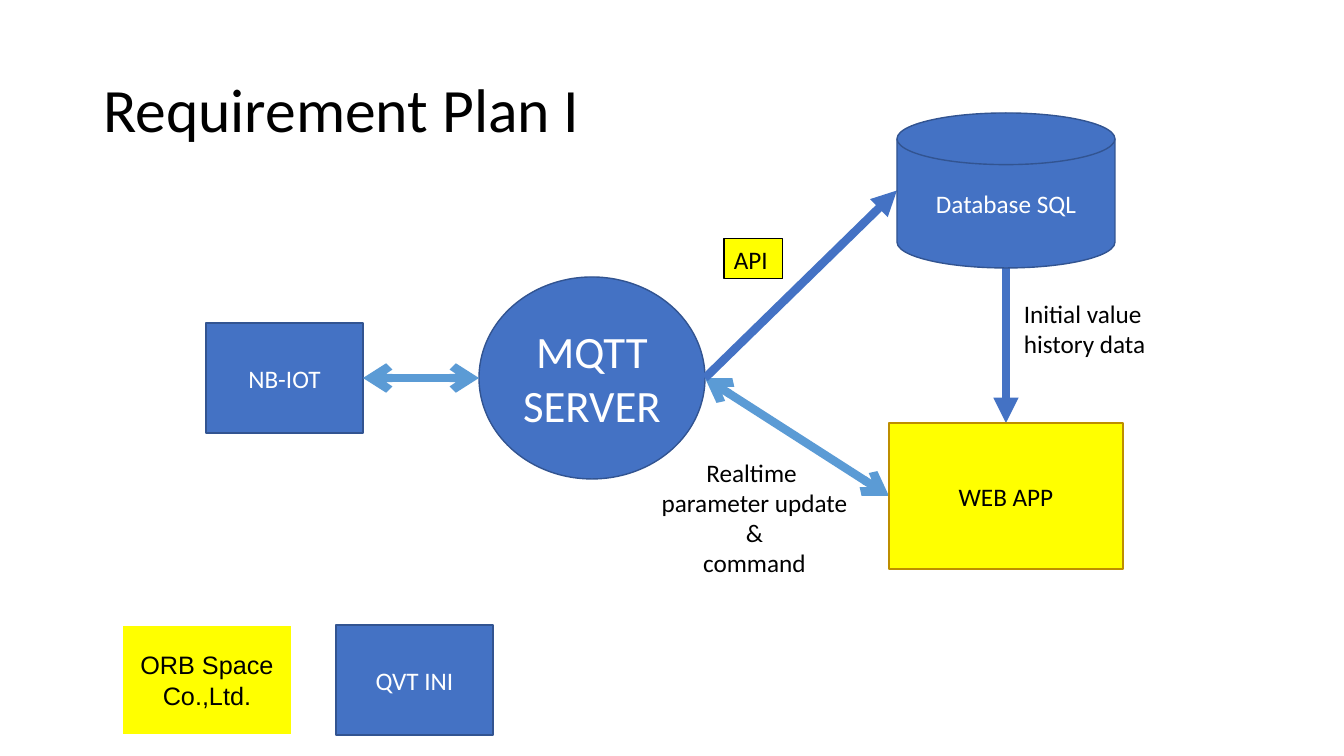
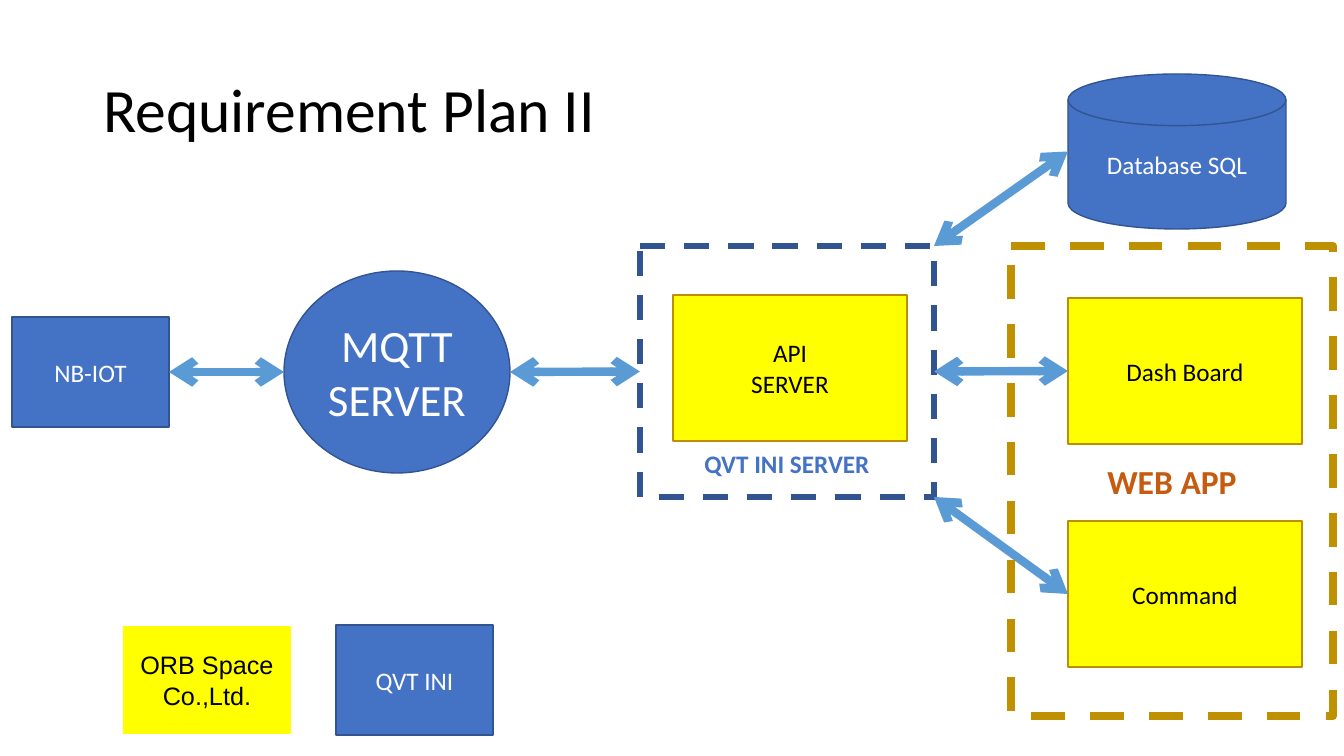
from dataclasses import dataclass

from lxml.etree import SubElement
from pptx import Presentation
from pptx.dml.color import RGBColor
from pptx.enum.dml import MSO_LINE
from pptx.enum.shapes import MSO_CONNECTOR, MSO_SHAPE as SHAPE
from pptx.enum.text import MSO_ANCHOR as ANCHOR, PP_ALIGN as ALIGN
from pptx.oxml.ns import qn
from pptx.util import Emu, Pt

PAGE_WIDTH, PAGE_HEIGHT = 1344, 756
EMU_PER_PIXEL = 914400 / 100.8

BLACK = RGBColor(0x00, 0x00, 0x00)
WHITE = RGBColor(0xFF, 0xFF, 0xFF)
BLUE = RGBColor(0x44, 0x72, 0xC4)
DARK_BLUE = RGBColor(0x32, 0x54, 0x91)
LIGHT_BLUE = RGBColor(0x5B, 0x9B, 0xD5)
YELLOW = RGBColor(0xFF, 0xFF, 0x00)
DARK_GOLD = RGBColor(0xBD, 0x8E, 0x00)
GOLD = RGBColor(0xBF, 0x90, 0x00)
ORANGE = RGBColor(0xC5, 0x5A, 0x11)

OWNER = "QVT INI"
DATABASE = "Database SQL"


def px(length):
    """Turn pixels into EMU."""
    return Emu(round(length * EMU_PER_PIXEL))


@dataclass
class Box:
    """A rectangle in pixels."""
    left: int
    top: int
    width: int
    height: int

    def emu(self):
        """Left, top, width and height in EMU."""
        return [px(n) for n in (self.left, self.top, self.width, self.height)]

    def at(self, across, down):
        """A point given as fractions of the width and height."""
        return self.left + across * self.width, self.top + down * self.height

    def inner(self, left, top, width, height):
        """A box placed relative to this one's corner."""
        return Box(self.left + left, self.top + top, width, height)


def write(shape, text, color=BLACK, size=18, align=ALIGN.CENTER,
          anchor=ANCHOR.MIDDLE, face="Calibri", bold=False):
    """Fill a shape with text, one paragraph per line."""
    frame = shape.text_frame
    frame.text = text
    frame.vertical_anchor = anchor
    for para in frame.paragraphs:
        para.alignment = align
        para.font.name = face
        para.font.size = Pt(size)
        para.font.bold = bold
        para.font.color.rgb = color


def add_block(page, kind, box, fill, outline, weight=1):
    """Add a preset shape; a fill of None leaves it hollow."""
    shape = page.shapes.add_shape(kind, *box.emu())
    shape.shadow.inherit = False
    if fill is None:
        shape.fill.background()
    else:
        shape.fill.solid()
        shape.fill.fore_color.rgb = fill
    shape.line.color.rgb = outline
    shape.line.width = Pt(weight)
    return shape


def add_blue_node(page, kind, box, text, size=18):
    """Add a blue node with white text."""
    write(add_block(page, kind, box, BLUE, DARK_BLUE), text, WHITE, size)


def add_card(page, box, text):
    """Add a yellow application card."""
    write(add_block(page, SHAPE.RECTANGLE, box, YELLOW, DARK_GOLD), text)


def add_group_frame(page, box, text, outline, weight, **style):
    """Add a dashed frame with a bold label."""
    frame = add_block(page, SHAPE.FLOWCHART_PROCESS, box, None, outline, weight)
    frame.line.dash_style = MSO_LINE.DASH
    write(frame, text, bold=True, **style)
    return frame


def add_label(page, box, text, align):
    """Add a plain caption."""
    label = page.shapes.add_textbox(*box.emu())
    label.text_frame.word_wrap = False
    write(label, text, align=align, anchor=ANCHOR.TOP)


def add_arrow(page, start, end, color=LIGHT_BLUE, head="arrow", tail="arrow"):
    """Draw a thick arrow between two points."""
    arrow = page.shapes.add_connector(
        MSO_CONNECTOR.STRAIGHT, *map(px, start + end))
    arrow.line.color.rgb = color
    arrow.line.width = Pt(6)
    properties = arrow.element.spPr
    line = properties.find(qn("a:ln"))
    SubElement(line, qn("a:headEnd"), type=head)
    SubElement(line, qn("a:tailEnd"), type=tail)
    SubElement(properties, qn("a:effectLst"))


def add_flow(page, start, end):
    """Draw a one-way data flow."""
    add_arrow(page, start, end, BLUE, "none", "triangle")


def add_legend(page, box):
    """Show which colour belongs to which company."""
    vendor = add_block(page, SHAPE.FLOWCHART_PROCESS,
                       box.inner(0, 0, 170, box.height), YELLOW, WHITE, 1.5)
    write(vendor, "ORB Space Co.,Ltd.", face="Arial")
    add_blue_node(page, SHAPE.FLOWCHART_PROCESS,
                  box.inner(214, 0, 157, box.height), OWNER)


def add_device_link(page, box):
    """Place device and server at the ends of the box; return the exit point."""
    device = box.inner(0, 46, 157, 110)
    server = box.inner(box.width - 226, 0, 226, box.height)
    add_blue_node(page, SHAPE.FLOWCHART_PROCESS, device, "NB-IOT")
    add_blue_node(page, SHAPE.OVAL, server, "MQTT\nSERVER", 32)
    add_arrow(page, device.at(1, 0.5), server.at(0, 0.5))
    return server.at(1, 0.5)


def add_page(deck, title_text):
    """Add a page with its title and legend."""
    page = deck.slides.add_slide(deck.slide_layouts[5])
    title = page.shapes.title
    title.left, title.top, title.width, title.height = Box(93, 40, 1159, 146).emu()
    write(title, title_text, size=44, align=ALIGN.LEFT)
    title.text_frame.paragraphs[0].line_spacing = 0.9
    add_legend(page, Box(122, 625, 371, 110))
    return page


def add_direct_plan(page, box):
    """Plan I: the server feeds the database and the web app directly."""
    hub = add_device_link(page, box.inner(0, 164, 499, 202))
    database = box.inner(691, 0, 218, 155)
    web_app = box.inner(683, 310, 234, 146)
    add_arrow(page, hub, web_app.at(0, 0.5))
    add_flow(page, hub, database.at(0, 0.5))
    add_flow(page, database.at(0.5, 1), web_app.at(0.5, 0))
    add_card(page, web_app, "WEB APP")
    add_blue_node(page, SHAPE.FLOWCHART_MAGNETIC_DISK, database, DATABASE)
    add_label(page, box.inner(808, 180, 143, 72),
              "Initial value\nhistory data", ALIGN.LEFT)
    add_label(page, box.inner(444, 339, 209, 132),
              "Realtime \nparameter update\n&\ncommand", ALIGN.CENTER)
    api_tag = add_block(page, SHAPE.RECTANGLE, box.inner(518, 126, 59, 40),
                        YELLOW, BLACK, 0.75)
    write(api_tag, "API", align=ALIGN.LEFT)


def add_server_plan(page, box):
    """Plan II: an API server stands between the broker and the web app."""
    hub = add_device_link(page, box.inner(0, 197, 498, 202))
    server = box.inner(628, 172, 294, 251)
    database = box.inner(1056, 0, 218, 155)
    dash_board = box.inner(1056, 224, 234, 146)
    command = box.inner(1056, 447, 234, 146)
    add_card(page, server.inner(33, 49, 234, 146), "API\nSERVER")
    server_frame = add_group_frame(page, server, f"{OWNER} SERVER", DARK_BLUE,
                                   4.5, color=BLUE, anchor=ANCHOR.BOTTOM)
    server_frame.text_frame.margin_bottom = px(18)
    add_arrow(page, hub, server.at(0, 0.5))
    add_blue_node(page, SHAPE.FLOWCHART_MAGNETIC_DISK, database, DATABASE)
    add_card(page, dash_board, "Dash Board")
    add_card(page, command, "Command")
    for down, target in ((0, database), (0.5, dash_board), (1, command)):
        add_arrow(page, server.at(1, down), target.at(0, 0.5))
    add_group_frame(page, box.inner(999, 172, 322, 470), "WEB APP", GOLD, 6,
                    color=ORANGE, size=24)


def main():
    """Build and save the deck."""
    deck = Presentation()
    deck.slide_width, deck.slide_height = px(PAGE_WIDTH), px(PAGE_HEIGHT)
    add_direct_plan(add_page(deck, "Requirement Plan I"), Box(206, 113, 951, 471))
    add_server_plan(add_page(deck, "Requirement Plan II"), Box(12, 74, 1321, 642))
    deck.save("out.pptx")


main()
